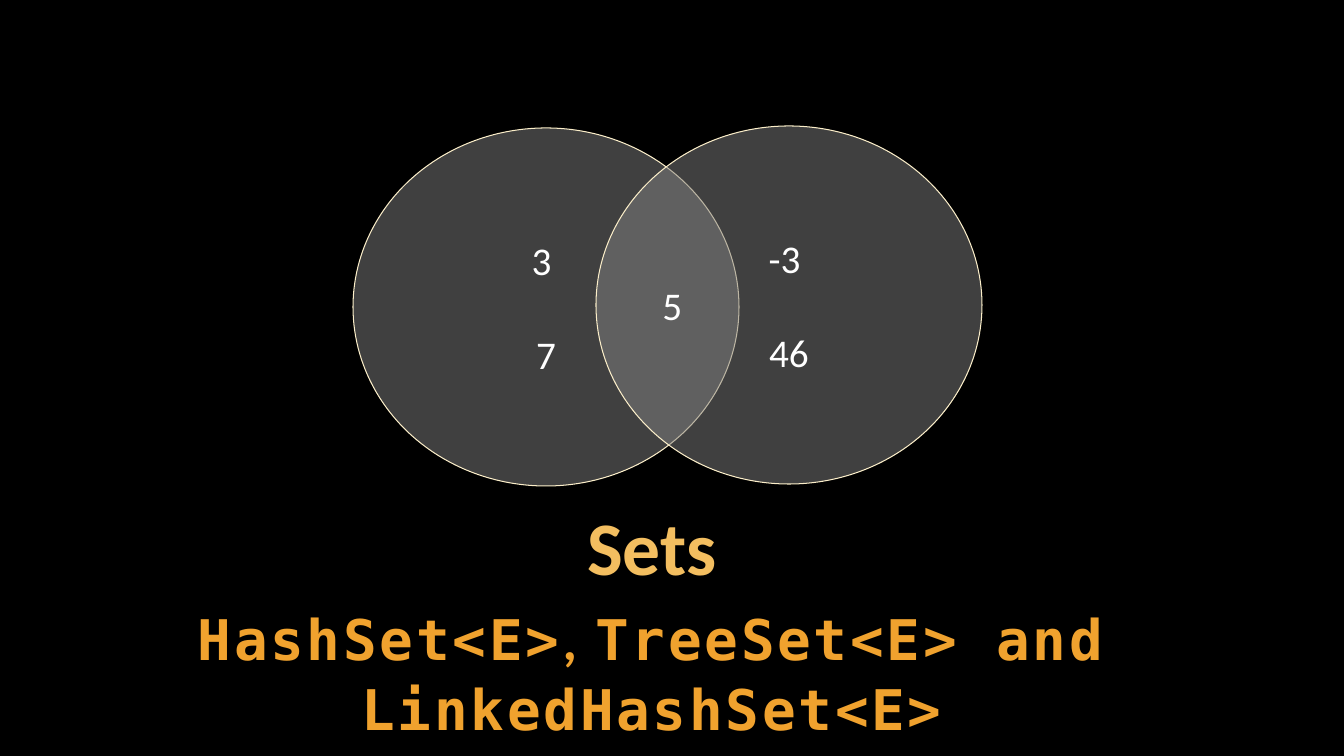
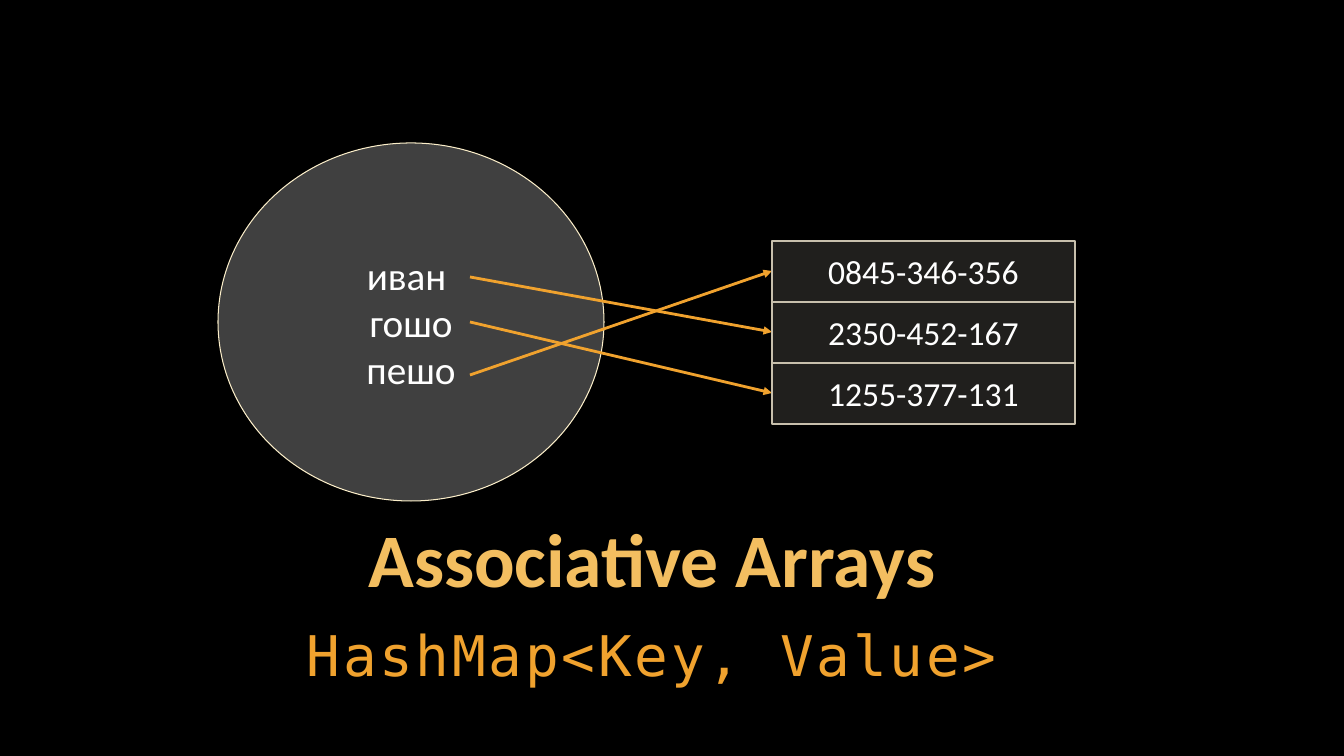
from dataclasses import dataclass
from lxml.etree import SubElement
from pptx import Presentation
from pptx.dml.color import RGBColor
from pptx.enum.shapes import MSO_CONNECTOR, MSO_SHAPE
from pptx.enum.text import MSO_ANCHOR, PP_ALIGN
from pptx.oxml.ns import qn
from pptx.util import Pt

SLIDE_WIDTH, SLIDE_HEIGHT = 1344, 756
EMU_PER_PX = 12192000 / SLIDE_WIDTH


@dataclass(frozen=True)
class Theme:
    background: str = "000000"
    text: str = "FFFFFF"
    title: str = "F3BE60"
    accent: str = "F0A22E"
    circle_fill: str = "808080"
    circle_line: str = "FBEEC9"
    cell_fill: str = "D9D5C7"
    cell_line: str = "C7BFAC"
    font: str = "Calibri"
    code_font: str = "DejaVu Sans Mono"
    title_size: int = 54
    code_size: int = 40
    item_size: int = 28
    cell_size: int = 24
    item_gap: int = 34
    code_spacing: int = 200


def px(value):
    return round(value * EMU_PER_PX)


def color(value):
    return RGBColor.from_string(value)


class SlideBuilder:
    TEXT_LEFT, TEXT_WIDTH = 159, 986
    CIRCLE_WIDTH, CIRCLE_HEIGHT = 386, 358

    def __init__(self, theme):
        self.theme = theme
        self.deck = Presentation()
        self.deck.slide_width = px(SLIDE_WIDTH)
        self.deck.slide_height = px(SLIDE_HEIGHT)
        self.page = None

    def new_page(self):
        self.page = self.deck.slides.add_slide(self.deck.slide_layouts[6])
        fill = self.page.background.fill
        fill.solid()
        fill.fore_color.rgb = color(self.theme.background)

    def style(self, span, size, tint, font=None, bold=False):
        span.font.name = font or self.theme.font
        span.font.size = Pt(size)
        span.font.bold = bold
        span.font.color.rgb = color(tint)

    def text_box(self, top, height):
        box = self.page.shapes.add_textbox(
            px(self.TEXT_LEFT), px(top), px(self.TEXT_WIDTH), px(height))
        frame = box.text_frame
        frame.word_wrap = True
        frame.margin_left = frame.margin_right = px(4)
        frame.margin_top = frame.margin_bottom = px(4)
        para = frame.paragraphs[0]
        para.alignment = PP_ALIGN.CENTER
        return frame, para

    def title(self, text, top, height):
        frame, para = self.text_box(top, height)
        frame.vertical_anchor = MSO_ANCHOR.BOTTOM
        para.text = text
        para.line_spacing = Pt(self.theme.title_size)
        self.style(para.runs[0], self.theme.title_size, self.theme.title, bold=True)

    def subtitle(self, spans, top, height, bold=False):
        """Each span is a pair of text and font."""
        para = self.text_box(top, height)[1]
        para.line_spacing = 1.05
        para.space_after = Pt(6)
        for text, font in spans:
            span = para.add_run()
            span.text = text
            self.style(span, self.theme.code_size, self.theme.accent, font, bold)
            span.font._element.set("spc", str(self.theme.code_spacing))

    def shape(self, kind, bounds, fill, opacity, line, line_width):
        shape = self.page.shapes.add_shape(kind, *map(px, bounds))
        shape.shadow.inherit = False
        shape.fill.solid()
        shape.fill.fore_color.rgb = color(fill)
        tint = shape.fill._xPr.find(qn("a:solidFill"))[0]
        SubElement(tint, qn("a:alpha")).set("val", str(opacity * 1000))
        shape.line.color.rgb = color(line)
        shape.line.width = Pt(line_width)
        shape.text_frame.word_wrap = True
        return shape.text_frame

    def circle(self, left, top, items):
        """Each item is text, alignment and space before in points."""
        theme = self.theme
        frame = self.shape(
            MSO_SHAPE.OVAL, (left, top, self.CIRCLE_WIDTH, self.CIRCLE_HEIGHT),
            theme.circle_fill, 50, theme.circle_line, 0.75)
        frame.vertical_anchor = MSO_ANCHOR.MIDDLE
        frame.text = "\n".join(text for text, _, _ in items)
        for para, (_, alignment, gap) in zip(frame.paragraphs, items):
            para.alignment = alignment
            para.space_before = Pt(gap)
            self.style(para.runs[0], theme.item_size, theme.text)

    def cell(self, text, bounds):
        theme = self.theme
        frame = self.shape(MSO_SHAPE.RECTANGLE, bounds,
                           theme.cell_fill, 15, theme.cell_line, 1)
        frame.vertical_anchor = MSO_ANCHOR.TOP
        frame.margin_left = frame.margin_right = px(20)
        frame.margin_top = frame.margin_bottom = px(10)
        frame.text = text
        para = frame.paragraphs[0]
        para.alignment = PP_ALIGN.CENTER
        self.style(para.runs[0], theme.cell_size, theme.text)

    def arrow(self, start, end):
        arrow = self.page.shapes.add_connector(
            MSO_CONNECTOR.STRAIGHT, *map(px, start + end))
        arrow.line.color.rgb = color(self.theme.accent)
        arrow.line.width = Pt(2)
        SubElement(arrow.line._get_or_add_ln(), qn("a:tailEnd")).set("type", "triangle")
        SubElement(arrow._element.spPr, qn("a:effectLst"))


def build_sets(builder):
    theme = builder.theme
    center, left = PP_ALIGN.CENTER, PP_ALIGN.LEFT
    builder.new_page()
    builder.title("Sets", 504, 91)
    builder.subtitle(
        [("HashSet<E>", theme.code_font), (", ", theme.font),
         ("TreeSet<E> and LinkedHashSet<E>", theme.code_font)],
        597, 150, bold=True)
    # Overlapping sets, with the shared number in the right circle
    builder.circle(353, 128, [("3 ", center, 0), ("7", center, theme.item_gap)])
    builder.circle(596, 126, [("-3 ", center, 0), ("5", left, 0), ("46", center, 0)])


def build_associative_arrays(builder):
    builder.new_page()
    builder.title("Associative Arrays", 521, 86)
    builder.subtitle([("HashMap<Key, Value>", builder.theme.code_font)], 613, 80)
    # Keys
    keys = ("иван ", "гошо", "пешо")
    builder.circle(218, 143, [(key, PP_ALIGN.CENTER, 0) for key in keys])
    # Arrows from each key to the row of its value
    cell_left, cell_top, cell_width, cell_height = 772, 241, 303, 61
    for key_y, row in ((277, 1), (322, 2), (375, 0)):
        row_middle = cell_top + row * cell_height + cell_height // 2
        builder.arrow((470, key_y), (cell_left, row_middle))
    # Values
    for row, number in enumerate(("0845-346-356", "2350-452-167", "1255-377-131")):
        top = cell_top + row * cell_height
        builder.cell(number, (cell_left, top, cell_width, cell_height))


def main():
    builder = SlideBuilder(Theme())
    build_sets(builder)
    build_associative_arrays(builder)
    builder.deck.save("out.pptx")


if __name__ == "__main__":
    main()
